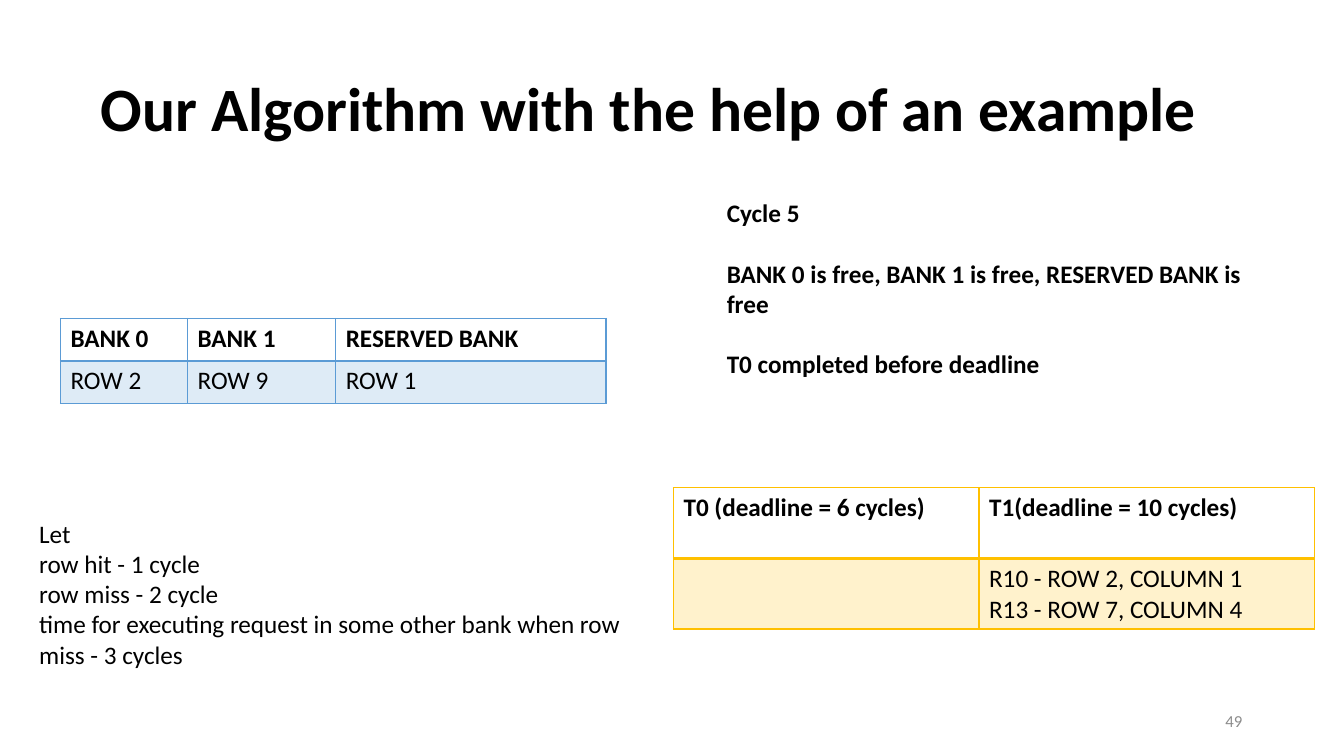
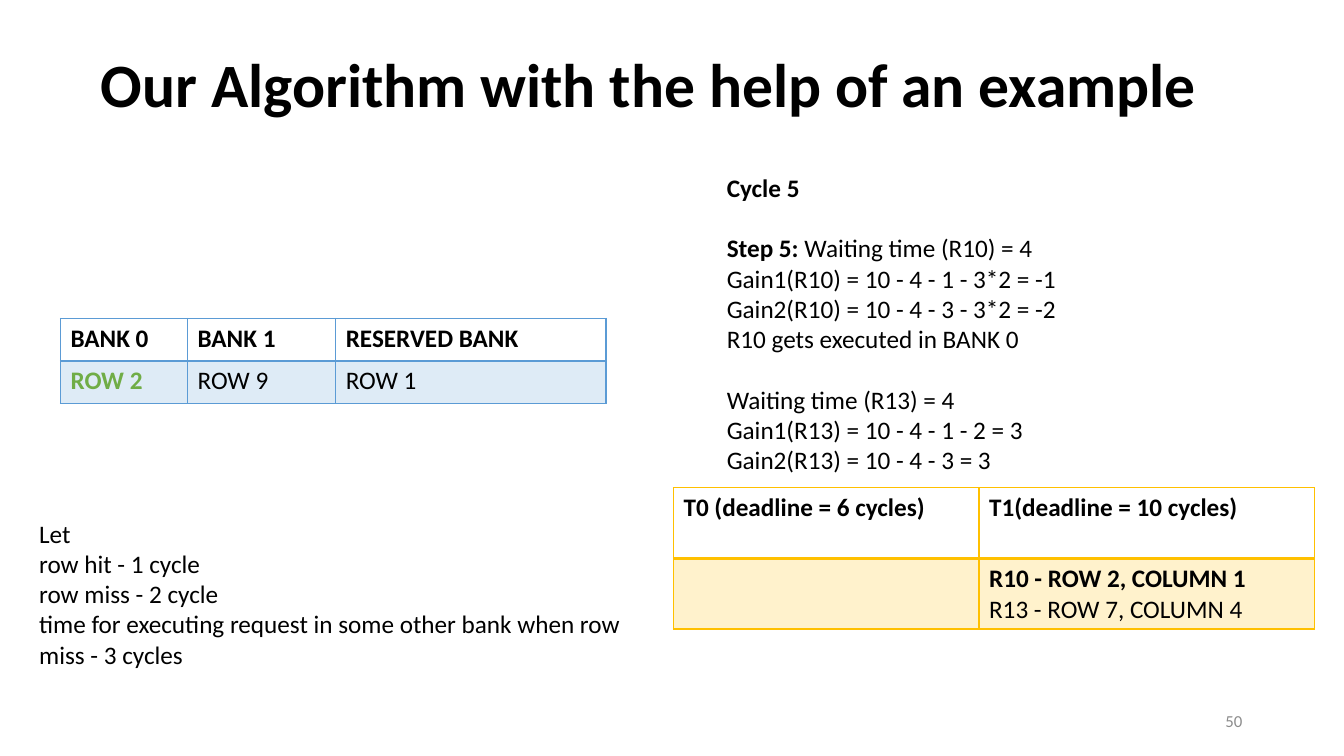
"""Build two slides that walk through cycle 5 of a memory bank scheduling example."""
import pptx
import pptx.dml.color
import pptx.enum.text
import pptx.oxml
import pptx.oxml.ns
import pptx.util
from pptx.util import Inches

FONT = "Calibri"
COLORS = {
    "text": "000000",
    "number": "8C8C8C",
    "bank": "5B9BD5",
    "task": "FFC000",
    "hit": "70AD47",
}
TITLE = "Our Algorithm with the help of an example"
BANK_HEADS = ["BANK 0", "BANK 1", "RESERVED BANK"]
TASK_HEADS = ["T0 (deadline = 6 cycles)", "T1(deadline = 10 cycles)"]
COSTS = [
    "Let",
    "row hit - 1 cycle",
    "row miss - 2 cycle",
    "time for executing request in some other bank when row miss - 3 cycles",
]


def bold(text, color="text"):
    return text, True, color


def add_runs(p, runs, size):
    for run in runs if isinstance(runs, list) else [runs]:
        text, is_bold, color = (run, False, "text") if isinstance(run, str) else run
        r = p.add_run()
        r.text = text
        r.font.name = FONT
        r.font.size = pptx.util.Pt(size)
        r.font.bold = is_bold
        r.font.color.rgb = pptx.dml.color.RGBColor.from_string(COLORS[color])


def fill_frame(tf, groups, size=18):
    first = True
    for group in groups:
        for i, runs in enumerate(group):
            p = tf.paragraphs[0] if first else tf.add_paragraph()
            if i == 0 and not first:
                p.space_before = pptx.util.Pt(size * 1.2)
            add_runs(p, runs, size)
            first = False


def add_text(s, box, groups, size=18, middle=False):
    tf = s.shapes.add_textbox(*map(Inches, box)).text_frame
    tf.word_wrap = True
    if middle:
        tf.vertical_anchor = pptx.enum.text.MSO_ANCHOR.MIDDLE
    else:
        tf.auto_size = pptx.enum.text.MSO_AUTO_SIZE.SHAPE_TO_FIT_TEXT
    fill_frame(tf, groups, size)
    return tf.paragraphs[0]


def add_title(s, top):
    p = add_text(s, (0.9, top, 11.5, 1.45), [[bold(TITLE)]], 44, middle=True)
    p.line_spacing = 0.9


def add_number(s, number):
    p = add_text(s, (9.42, 6.95, 3, 0.4), [[(number, False, "number")]], 12, middle=True)
    p.alignment = pptx.enum.text.PP_ALIGN.RIGHT


def style_cell(cell, color, is_head):
    tcPr = cell._tc.get_or_add_tcPr()
    if is_head:
        cell.fill.background()
    else:
        cell.fill.solid()
        cell.fill.fore_color.rgb = pptx.dml.color.RGBColor.from_string(color)
        clr = tcPr.find(".//" + pptx.oxml.ns.qn("a:srgbClr"))
        clr.append(pptx.oxml.parse_xml(
            f'<a:alpha {pptx.oxml.ns.nsdecls("a")} val="20000"/>'))
    for i, side in enumerate("LRTB"):
        width = pptx.util.Pt(2 if is_head and side == "B" else 1)
        tcPr.insert(i, pptx.oxml.parse_xml(
            f'<a:ln{side} {pptx.oxml.ns.nsdecls("a")} w="{width}">'
            f'<a:solidFill><a:srgbClr val="{color}"/></a:solidFill></a:ln{side}>'))


def add_grid(s, left, top, widths, row_height, heads, cells, color):
    """Add a table with one bold header row and one tinted row of paragraph lists."""
    rows = [[[bold(head)] for head in heads], cells]
    frame = s.shapes.add_table(
        len(rows), len(widths), *map(Inches, (left, top, sum(widths), row_height * len(rows))))
    table = frame.table
    table.first_row = table.horz_banding = False
    for column, width in zip(table.columns, widths):
        column.width = Inches(width)
    for i, row in enumerate(rows):
        table.rows[i].height = Inches(row_height)
        for j, paragraphs in enumerate(row):
            cell = table.cell(i, j)
            style_cell(cell, COLORS[color], i == 0)
            fill_frame(cell.text_frame, [paragraphs])


def add_step(prs, number, title_top, notes_top, notes, open_row, request):
    s = prs.slides.add_slide(prs.slide_layouts[6])
    add_title(s, title_top)
    add_grid(s, 6.68, 4.84, [3.03, 3.33], 0.7, TASK_HEADS,
             [[], [request, "R13 - ROW 7, COLUMN 4"]], "task")
    add_text(s, (7.11, notes_top, 5.62, 1.9), notes)
    add_grid(s, 0.6, 3.16, [1.26, 1.47, 2.68], 0.42, BANK_HEADS,
             [[open_row], ["ROW 9"], ["ROW 1"]], "bank")
    add_text(s, (0.29, 5.09, 6.18, 1.6), [COSTS])
    add_number(s, number)


def main():
    prs = pptx.Presentation()
    prs.slide_width = Inches(13.33)
    prs.slide_height = Inches(7.5)
    cycle = [bold("Cycle 5")]
    request = "R10 - ROW 2, COLUMN 1"

    add_step(prs, "49", 0.38, 1.91, [
        cycle,
        [bold("BANK 0 is free, BANK 1 is free, RESERVED BANK is free")],
        [bold("T0 completed before deadline")],
    ], "ROW 2", request)

    add_step(prs, "50", 0.14, 1.66, [
        cycle,
        [
            [bold("Step 5:"), " Waiting time (R10) = 4"],
            "Gain1(R10) = 10 - 4 - 1 - 3*2 = -1",
            "Gain2(R10) = 10 - 4 - 3 - 3*2 = -2",
            "R10 gets executed in BANK 0",
        ],
        [
            "Waiting time (R13) = 4",
            "Gain1(R13) = 10 - 4 - 1 - 2 = 3",
            "Gain2(R13) = 10 - 4 - 3 = 3",
        ],
    ], bold("ROW 2", "hit"), bold(request))

    prs.save("out.pptx")


if __name__ == "__main__":
    main()
